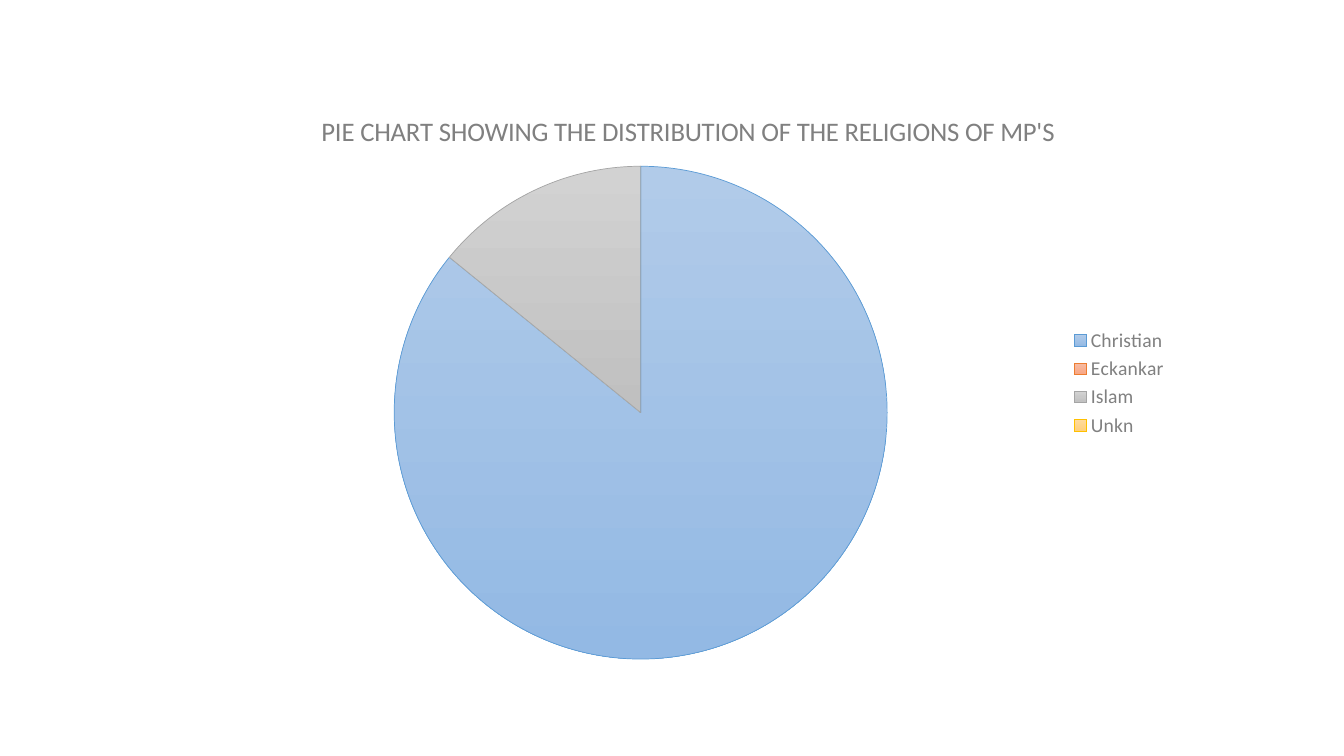
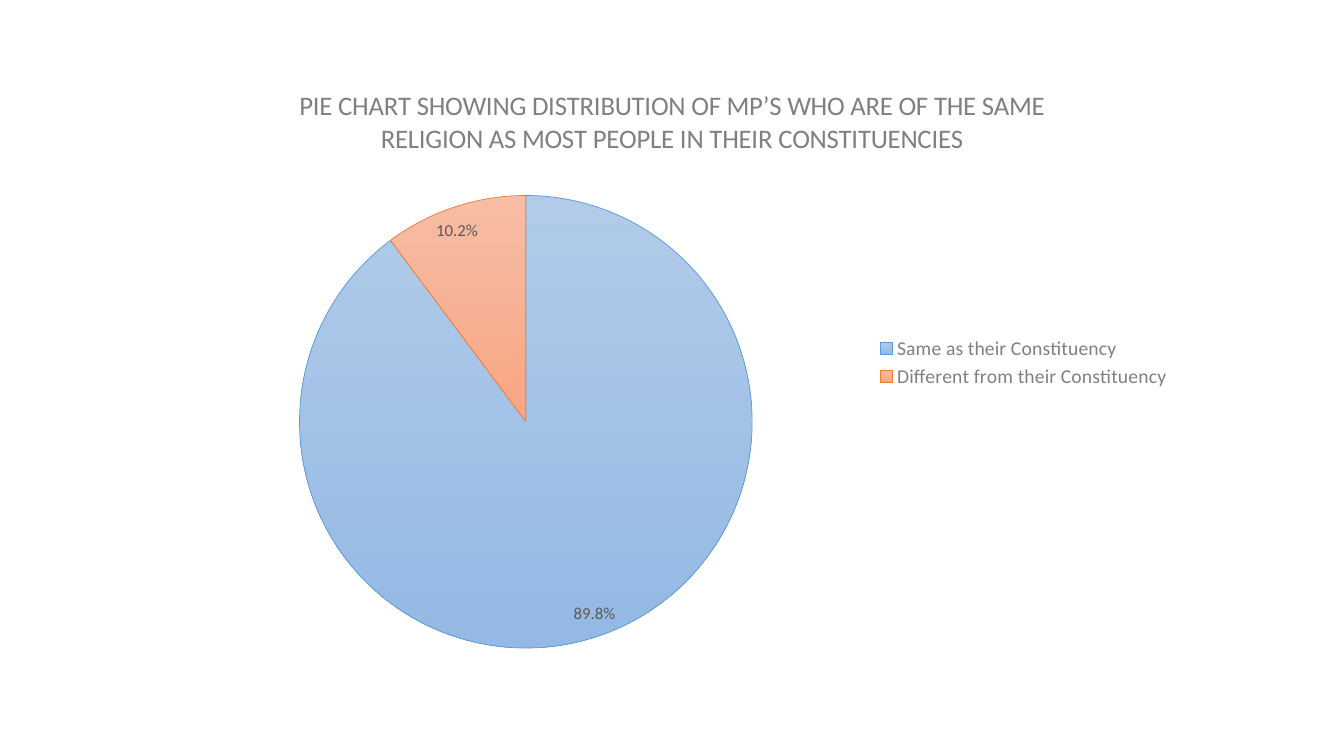
from dataclasses import dataclass

from pptx import Presentation
from pptx.chart.chart import Chart
from pptx.chart.data import CategoryChartData
from pptx.dml.color import RGBColor
from pptx.enum.chart import XL_CHART_TYPE, XL_LABEL_POSITION, XL_LEGEND_POSITION
from pptx.oxml import parse_xml
from pptx.oxml.ns import nsdecls, qn
from pptx.util import Inches, Pt

PIE = XL_CHART_TYPE.PIE
BEST_FIT = XL_LABEL_POSITION.BEST_FIT
RIGHT = XL_LEGEND_POSITION.RIGHT

FONT = "Calibri"
BLACK, GREY, DARK_GREY = "000000", "808080", "595959"
BLANK_LAYOUT = 6


@dataclass(frozen=True)
class SliceStyle:
    top: str
    bottom: str
    line: str


@dataclass(frozen=True)
class Box:
    left: float
    top: float
    width: float
    height: float


@dataclass(frozen=True)
class PieSlide:
    title: str
    title_at: tuple[float, float]
    frame: Box
    pie: Box
    values: dict[str, float]
    number_format: str = "General"
    labels: bool = False


SLICE_STYLES = [
    SliceStyle("B1CBE9", "93B9E4", "5B9BD5"),
    SliceStyle("F7BDA5", "F8A582", "ED7D31"),
    SliceStyle("D2D2D2", "C0C0C0", "A5A5A5"),
    SliceStyle("FFDB9E", "FFD07C", "FFC000"),
]

PIE_SLIDES = [
    PieSlide(
        title="PIE CHART SHOWING THE DISTRIBUTION OF THE RELIGIONS OF MP'S",
        title_at=(3.14, 1.07),
        frame=Box(2.11, 0.92, 9.58, 5.76),
        pie=Box(3.91, 1.65, 4.89, 4.89),
        values={"Christian": 85, "Eckankar": 0, "Islam": 14, "Unkn": 0},
    ),
    PieSlide(
        title="PIE CHART SHOWING DISTRIBUTION OF MP’S WHO ARE OF THE SAME "
              "RELIGION AS MOST PEOPLE IN THEIR CONSTITUENCIES",
        title_at=(2.92, 0.82),
        frame=Box(1.75, 0.63, 9.97, 5.93),
        pie=Box(2.97, 1.94, 4.49, 4.49),
        values={"Same as their Constituency": 0.898,
                "Different from their Constituency": 0.102},
        number_format="0.0%",
        labels=True,
    ),
]


def rgb(color: str) -> RGBColor:
    return RGBColor.from_string(color)


def set_font(font, size: float, color: str) -> None:
    font.name = FONT
    font.size = Pt(size)
    font.bold = False
    font.color.rgb = rgb(color)


def set_layout(parent, index: int, **fractions: float) -> None:
    """Place a chart part by fractions of the chart frame."""
    for old in parent.findall(qn("c:layout")):
        parent.remove(old)
    target = '<c:layoutTarget val="inner"/>' if "w" in fractions else ""
    modes = '<c:xMode val="edge"/><c:yMode val="edge"/>'
    sizes = "".join(f'<c:{k} val="{v:.4f}"/>' for k, v in fractions.items())
    parent.insert(index, parse_xml(
        f'<c:layout {nsdecls("c")}><c:manualLayout>{target}{modes}{sizes}'
        "</c:manualLayout></c:layout>"))


def add_title(chart: Chart, item: PieSlide) -> None:
    chart.has_title = True
    title = chart.chart_title
    title.include_in_layout = False
    title.text_frame.text = item.title
    set_font(title.text_frame.paragraphs[0].runs[0].font, 19.1, GREY)
    x, y = item.title_at
    set_layout(title._element, 1, x=(x - item.frame.left) / item.frame.width,
               y=(y - item.frame.top) / item.frame.height)


def style_slices(chart: Chart, count: int) -> None:
    points = chart.plots[0].series[0].points
    for i, style in enumerate(SLICE_STYLES[:count]):
        fmt = points[i].format
        fmt.fill.gradient()
        fmt.fill.gradient_angle = 270
        for stop, color in zip(fmt.fill.gradient_stops, (style.top, style.bottom)):
            stop.color.rgb = rgb(color)
        fmt.line.color.rgb = rgb(style.line)
        fmt.line.width = Pt(0.5)


def add_labels(chart: Chart, number_format: str) -> None:
    plot = chart.plots[0]
    plot.has_data_labels = True
    labels = plot.data_labels
    labels.show_value = True
    labels.show_percentage = False
    labels.number_format = number_format
    labels.number_format_is_linked = False
    labels.position = BEST_FIT
    set_font(labels.font, 12, DARK_GREY)


def add_pie_slide(prs: Presentation, item: PieSlide) -> None:
    s = prs.slides.add_slide(prs.slide_layouts[BLANK_LAYOUT])
    data = CategoryChartData(number_format=item.number_format)
    data.categories = list(item.values)
    data.add_series("Series 1", list(item.values.values()))
    frame, pie = item.frame, item.pie
    chart = s.shapes.add_chart(
        PIE, Inches(frame.left), Inches(frame.top),
        Inches(frame.width), Inches(frame.height), data).chart
    set_font(chart.font, 10, BLACK)
    add_title(chart, item)

    # Pie
    chart.plots[0].vary_by_categories = True
    style_slices(chart, len(item.values))
    plot_area = chart._chartSpace.find(".//" + qn("c:plotArea"))
    set_layout(plot_area, 0, x=(pie.left - frame.left) / frame.width,
               y=(pie.top - frame.top) / frame.height,
               w=pie.width / frame.width, h=pie.height / frame.height)
    if item.labels:
        add_labels(chart, item.number_format)

    # Legend
    chart.has_legend = True
    chart.legend.position = RIGHT
    chart.legend.include_in_layout = False
    set_font(chart.legend.font, 14, GREY)


def main() -> None:
    prs = Presentation()
    prs.slide_width = Inches(13.33)
    prs.slide_height = Inches(7.5)
    for item in PIE_SLIDES:
        add_pie_slide(prs, item)
    prs.save("out.pptx")


if __name__ == "__main__":
    main()
